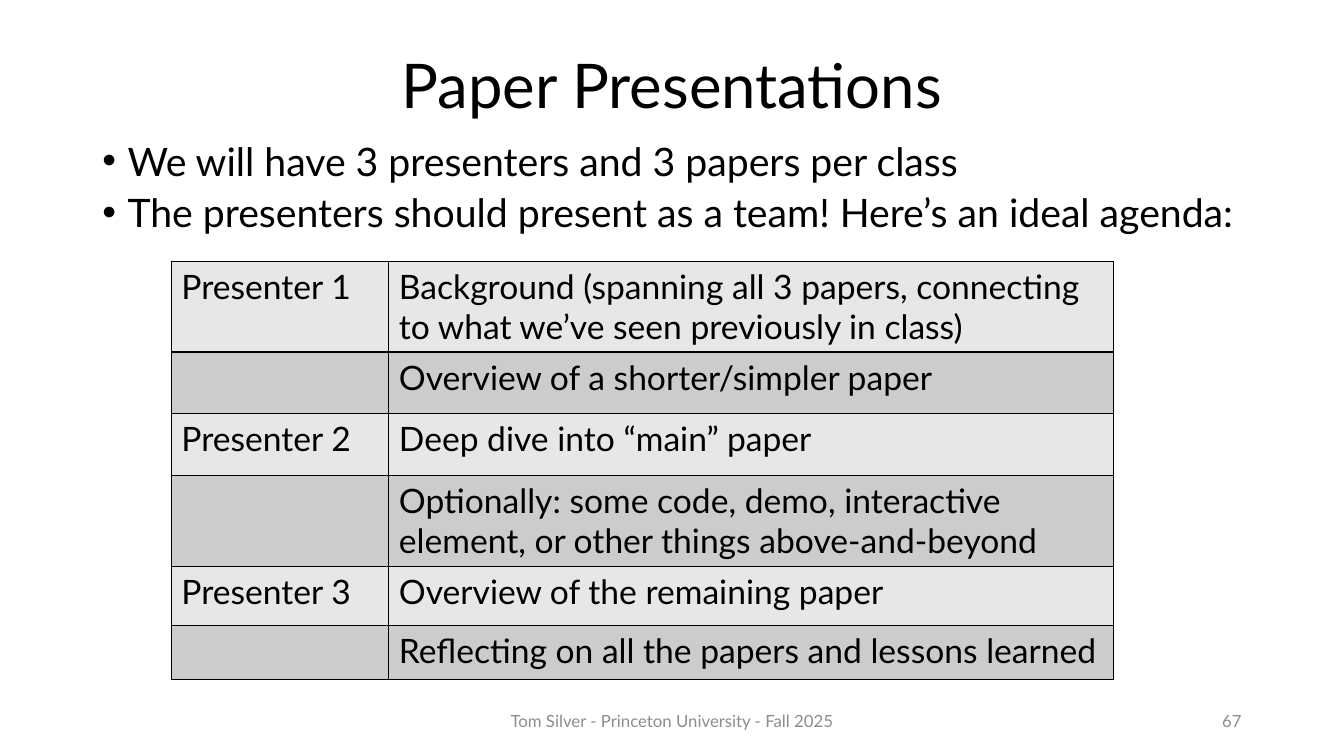
from dataclasses import dataclass

from lxml import etree
from pptx import Presentation
from pptx.dml.color import RGBColor
from pptx.enum.text import MSO_ANCHOR, PP_ALIGN
from pptx.oxml.ns import qn
from pptx.util import Inches, Pt

LEFT, CENTER, RIGHT = PP_ALIGN.LEFT, PP_ALIGN.CENTER, PP_ALIGN.RIGHT
TOP, MIDDLE = MSO_ANCHOR.TOP, MSO_ANCHOR.MIDDLE
COLUMNS, ROWS = 160, 90


@dataclass(frozen=True)
class Theme:
    font: str = "Lato"
    ink: str = "000000"
    muted: str = "8C8C8C"
    bands: tuple = ("E7E7E7", "CCCCCC")
    title: int = 44
    body: int = 28
    table: int = 24
    footer: int = 12
    border: int = 1


class Deck:
    def __init__(self, theme):
        self.theme = theme
        self.prs = Presentation()
        self.prs.slide_width, self.prs.slide_height = Inches(13.33), Inches(7.5)
        self.s = self.prs.slides.add_slide(self.prs.slide_layouts[6])

    def x(self, columns):
        return round(self.prs.slide_width * columns / COLUMNS)

    def y(self, rows):
        return round(self.prs.slide_height * rows / ROWS)

    def run(self, p, text, size, color):
        r = p.add_run()
        r.text = text
        r.font.name = self.theme.font
        r.font.size = Pt(size)
        r.font.color.rgb = RGBColor.from_string(color)

    def text(self, box, lines, size, color, align=LEFT, anchor=TOP,
             spacing=1.0, before=0, bullet=False):
        left, top, width, height = box
        sp = self.s.shapes.add_textbox(
            self.x(left), self.y(top), self.x(width), self.y(height))
        tf = sp.text_frame
        tf.word_wrap = True
        tf.vertical_anchor = anchor
        for i, line in enumerate(lines):
            p = tf.add_paragraph() if i else tf.paragraphs[0]
            p.alignment = align
            p.line_spacing = spacing
            p.space_before = Pt(before)
            if bullet:
                self.bullet(p)
            self.run(p, line, size, color)

    def bullet(self, p):
        pPr = p._p.get_or_add_pPr()
        pPr.set("marL", str(Inches(0.25)))
        pPr.set("indent", str(-Inches(0.25)))
        etree.SubElement(pPr, qn("a:buFont")).set("typeface", "Arial")
        etree.SubElement(pPr, qn("a:buChar")).set("char", "•")

    def borders(self, cell):
        tcPr = cell._tc.get_or_add_tcPr()
        for side in ("lnL", "lnR", "lnT", "lnB"):
            ln = etree.SubElement(tcPr, qn(f"a:{side}"))
            ln.set("w", str(Pt(self.theme.border)))
            fill = etree.SubElement(ln, qn("a:solidFill"))
            etree.SubElement(fill, qn("a:srgbClr")).set("val", self.theme.ink)

    def table(self, left, top, widths, heights, records):
        tbl = self.s.shapes.add_table(
            len(heights), len(widths), self.x(left), self.y(top),
            self.x(sum(widths)), self.y(sum(heights))).table
        tbl.first_row = tbl.horz_banding = False
        for column, width in zip(tbl.columns, widths):
            column.width = self.x(width)
        for i, (row, height, record) in enumerate(zip(tbl.rows, heights, records)):
            row.height = self.y(height)
            for cell, text in zip(row.cells, record):
                self.borders(cell)
                cell.fill.solid()
                cell.fill.fore_color.rgb = RGBColor.from_string(self.theme.bands[i % 2])
                if text:
                    self.run(cell.text_frame.paragraphs[0], text,
                             self.theme.table, self.theme.ink)


def main():
    theme = Theme()
    deck = Deck(theme)
    deck.text((11, 1.8, 138, 17.4), ["Paper Presentations"], theme.title, theme.ink,
              CENTER, MIDDLE, spacing=0.9)
    deck.text((11, 16.8, 138, 12.1), [
        "We will have 3 presenters and 3 papers per class",
        "The presenters should present as a team! Here’s an ideal agenda:",
    ], theme.body, theme.ink, spacing=0.8, before=10, bullet=True)
    deck.table(20.4, 31.1, (25.9, 86.3), (10.8, 7.3, 7.4, 10.8, 7.1, 6.4), [
        ("Presenter 1", "Background (spanning all 3 papers, connecting "
                        "to what we’ve seen previously in class)"),
        ("", "Overview of a shorter/simpler paper"),
        ("Presenter 2", "Deep dive into “main” paper"),
        ("", "Optionally: some code, demo, interactive element, "
             "or other things above-and-beyond"),
        ("Presenter 3", "Overview of the remaining paper"),
        ("", "Reflecting on all the papers and lessons learned"),
    ])
    deck.text((53, 83.4, 54, 4.8), ["Tom Silver - Princeton University - Fall 2025"],
              theme.footer, theme.muted, CENTER, MIDDLE)
    deck.text((113, 83.4, 36, 4.8), ["67"], theme.footer, theme.muted, RIGHT, MIDDLE)
    deck.prs.save("out.pptx")


if __name__ == "__main__":
    main()
